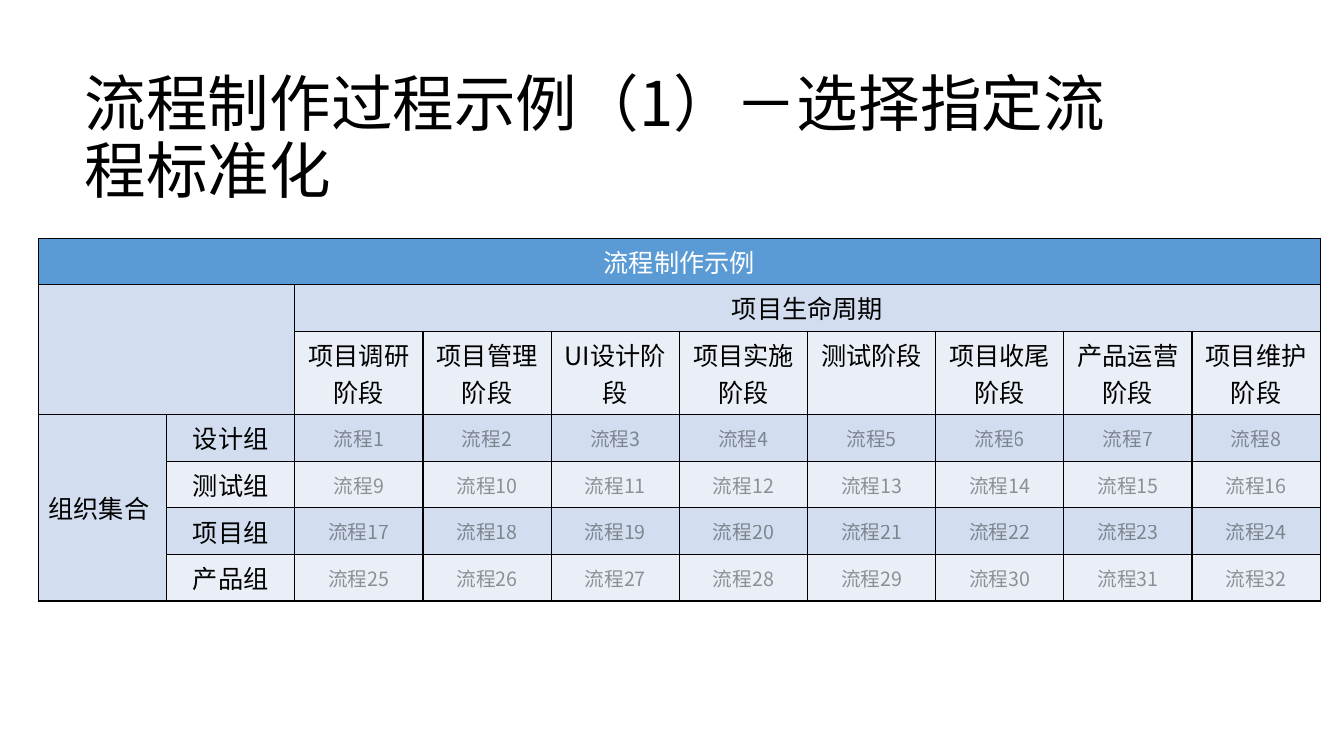
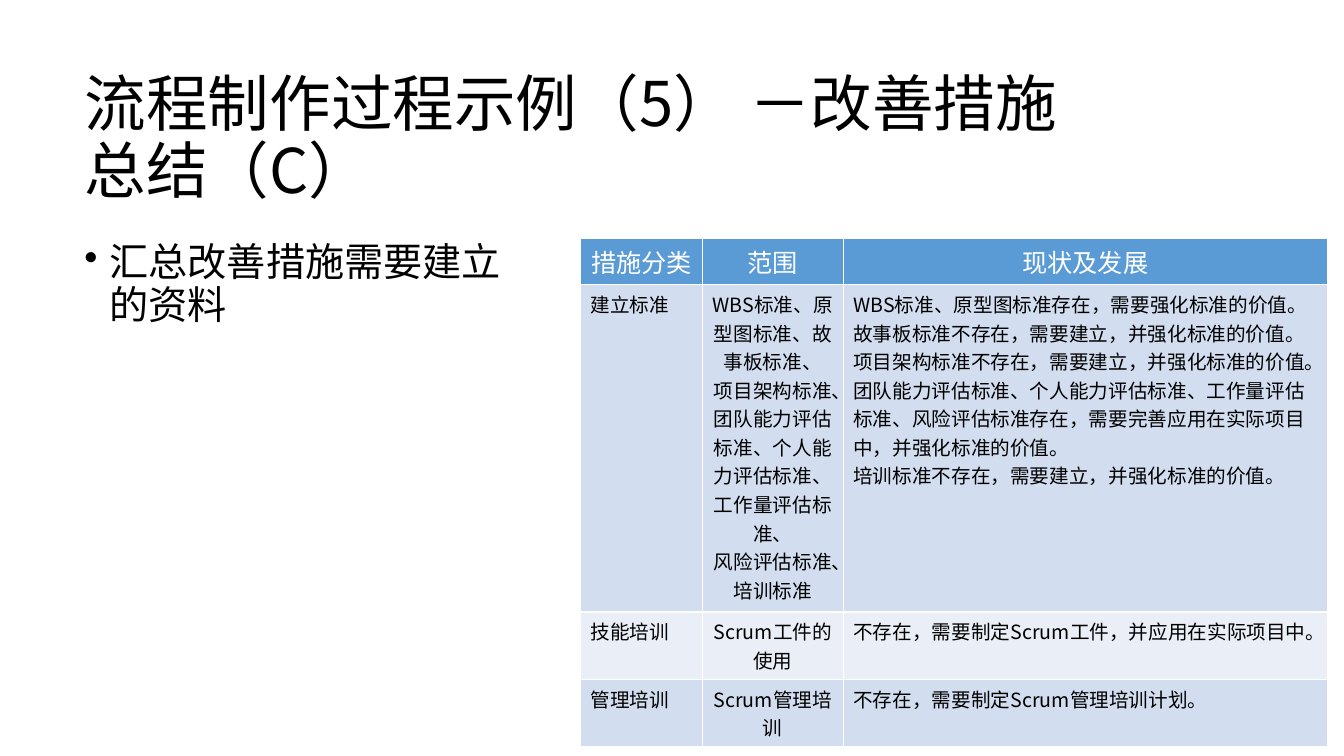
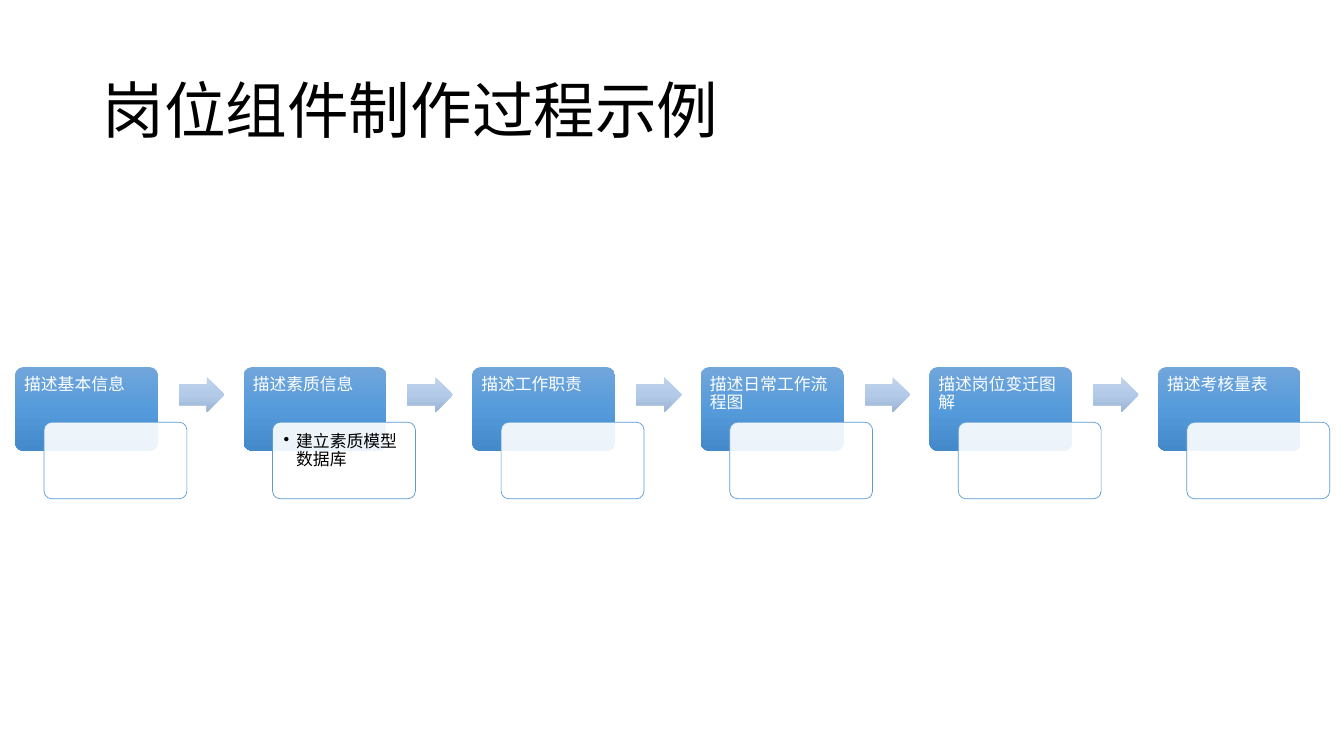
from copy import deepcopy

from pptx import Presentation
from pptx.dml.color import RGBColor
from pptx.enum import shapes as es, text as et
from pptx.oxml import parse_xml
from pptx.oxml.ns import nsdecls, qn
from pptx.oxml.xmlchemy import OxmlElement
from pptx.util import Cm, Pt

FACE = "Noto Sans CJK SC"
BLACK = RGBColor(0x00, 0x00, 0x00)
WHITE = RGBColor(0xFF, 0xFF, 0xFF)
BLUE = RGBColor(0x5B, 0x9B, 0xD5)
BAND = RGBColor(0xD2, 0xDE, 0xEF)
PALE = RGBColor(0xEA, 0xEF, 0xF7)
STEP = [RGBColor(0x71, 0xA6, 0xDB), RGBColor(0x55, 0x9B, 0xDB), RGBColor(0x44, 0x8A, 0xCA)]
ARROW = [RGBColor(0xC0, 0xD2, 0xEB), RGBColor(0xB3, 0xCB, 0xE9), RGBColor(0x9B, 0xB4, 0xD3)]

LEFT, MID = et.PP_ALIGN.LEFT, et.PP_ALIGN.CENTER
TOP, CENTER = et.MSO_ANCHOR.TOP, et.MSO_ANCHOR.MIDDLE
ROUND, RIGHT = es.MSO_SHAPE.ROUNDED_RECTANGLE, es.MSO_SHAPE.RIGHT_ARROW


def put(obj, **vals):
    for key, val in vals.items():
        setattr(obj, key, val)


def fade(node, pct):
    """Make the solid colour inside node pct per cent opaque."""
    alpha = OxmlElement("a:alpha")
    alpha.set("val", str(pct * 1000))
    node.find(".//" + qn("a:srgbClr")).append(alpha)


class Deck:
    """The shared style and the slide being built."""

    def __init__(self):
        self.prs = Presentation()
        put(self.prs, slide_width=Cm(33.87), slide_height=Cm(19.05))

    def page(self, title, x, y, w, h):
        self.slide = self.prs.slides.add_slide(self.prs.slide_layouts[5])
        box = self.slide.shapes.title
        put(box, left=Cm(x), top=Cm(y), width=Cm(w), height=Cm(h))
        put(box.text_frame, auto_size=et.MSO_AUTO_SIZE.NONE, vertical_anchor=CENTER)
        self.say(box.text_frame, title, size=44, gap=0.9)

    def say(self, frame, words, size=18, color=BLACK, align=LEFT, gap=None,
            alpha=None, hang=None):
        """Fill frame, one paragraph a line; hang is a bullet's indent in cm."""
        for i, line in enumerate(words.split("\n")):
            par = frame.paragraphs[0] if i == 0 else frame.add_paragraph()
            if hang:
                props = par._p.get_or_add_pPr()
                props.set("marL", str(Cm(hang)))
                props.set("indent", str(-Cm(hang)))
                dot = OxmlElement("a:buChar")
                dot.set("char", "•")
                props.append(dot)
            put(par, alignment=align, line_spacing=gap)
            run = par.add_run()
            run.text = line
            put(run.font, name=FACE, size=Pt(size), bold=False)
            run.font.color.rgb = color
            props = run._r.get_or_add_rPr()
            props.set("lang", "zh-CN")
            east = OxmlElement("a:ea")
            east.set("typeface", FACE)
            props.append(east)
            if alpha:
                fade(props, alpha)

    def note(self, words, x, y, w, h, **fmt):
        frame = self.slide.shapes.add_textbox(Cm(x), Cm(y), Cm(w), Cm(h)).text_frame
        frame.word_wrap = True
        self.say(frame, words, **fmt)

    def shape(self, kind, x, y, w, h, adj):
        item = self.slide.shapes.add_shape(kind, Cm(x), Cm(y), Cm(w), Cm(h))
        item.shadow.inherit = False
        item.line.fill.background()
        for i, val in enumerate(adj):
            item.adjustments[i] = val
        return item

    def blend(self, item, colors):
        """Give item a three-colour gradient from top to bottom."""
        item.fill.gradient()
        item.fill.gradient_angle = 270
        stops = item._element.spPr.find(".//" + qn("a:gsLst"))
        stops.insert(1, deepcopy(stops[0]))
        for i, stop in enumerate(item.fill.gradient_stops):
            stop.color.rgb = colors[i]
            stop.position = i / 2

    def label(self, item, words, pad, **fmt):
        frame = item.text_frame
        put(frame, word_wrap=True, vertical_anchor=TOP, margin_left=Cm(pad),
            margin_top=Cm(pad), margin_right=Cm(pad), margin_bottom=Cm(0.1))
        self.say(frame, words, size=12, gap=0.9, **fmt)

    def table(self, x, y, cols, rows, cells, look, edge, spans=()):
        """look(row, col) gives a cell's fill, anchor and text format."""
        grid = self.slide.shapes.add_table(
            len(rows), len(cols), Cm(x), Cm(y), Cm(sum(cols)), Cm(sum(rows))).table
        for col, width in zip(grid.columns, cols):
            col.width = Cm(width)
        for row, height in zip(grid.rows, rows):
            row.height = Cm(height)
        for r, line in enumerate(cells):
            for c, words in enumerate(line):
                cell = grid.cell(r, c)
                fill, anchor, fmt = look(r, c)
                cell.fill.solid()
                cell.fill.fore_color.rgb = fill
                cell.vertical_anchor = anchor
                self.border(cell, edge)
                if words:
                    self.say(cell.text_frame, words, **fmt)
        for r, c, down, over in spans:
            grid.cell(r, c).merge(grid.cell(r + down - 1, c + over - 1))

    def border(self, cell, color):
        props = cell._tc.get_or_add_tcPr()
        for i, side in enumerate("LRTB"):
            props.insert(i, parse_xml(
                f'<a:ln{side} {nsdecls("a")} w="12700"><a:solidFill>'
                f'<a:srgbClr val="{color}"/></a:solidFill></a:ln{side}>'))


def flows(deck):
    deck.page("流程制作过程示例（1）－选择指定流程标准化", 1.88, 1.7, 27.3, 3.66)
    stages = ["项目调研阶段", "项目管理阶段", "UI设计阶段", "项目实施阶段",
              "测试阶段", "项目收尾阶段", "产品运营阶段", "项目维护阶段"]
    teams = ["设计组", "测试组", "项目组", "产品组"]
    count = len(stages)
    cells = [["流程制作示例"] + [""] * (count + 1),
             ["", "", "项目生命周期"] + [""] * (count - 1),
             ["", ""] + stages]
    for i, team in enumerate(teams):
        first = "" if i else "组织集合"
        cells.append([first, team] + [f"流程{i * count + j + 1}" for j in range(count)])

    def look(r, c):
        if r == 0:
            return BLUE, TOP, dict(color=WHITE, align=MID)
        fill = BAND if r % 2 or c == 0 else PALE
        if r > 2 and c > 1:
            return fill, CENTER, dict(size=14, alpha=40, align=MID)
        if r > 2 and c == 0:
            return fill, CENTER, {}
        return fill, TOP, dict(align=MID)

    spans = [(0, 0, 1, 10), (1, 0, 2, 2), (1, 2, 1, 8), (3, 0, 4, 1)]
    deck.table(0.97, 6, [3.23] * 10, [1.17, 1.17, 2.1] + [1.17] * 4,
               cells, look, BLACK, spans)


def actions(deck):
    deck.page("流程制作过程示例（5） －改善措施总结（C）", 1.88, 1.7, 26.54, 3.66)
    deck.note("汇总改善措施需要建立的资料", 1.88, 6, 11.66, 10.77,
              size=28, gap=0.9, hang=0.63)
    scope = """WBS标准、原型图标准、故事板标准、
项目架构标准、
团队能力评估标准、个人能力评估标准、工作量评估标准、
风险评估标准、
培训标准"""
    state = """WBS标准、原型图标准存在，需要强化标准的价值。
故事板标准不存在，需要建立，并强化标准的价值。
项目架构标准不存在，需要建立，并强化标准的价值。
团队能力评估标准、个人能力评估标准、工作量评估标准、风险评估标准存在，需要完善应用在实际项目中，并强化标准的价值。
培训标准不存在，需要建立，并强化标准的价值。"""
    cells = [["措施分类", "范围", "现状及发展"],
             ["建立标准", scope, state],
             ["技能培训", "Scrum工件的使用", "不存在，需要制定Scrum工件，并应用在实际项目中。"],
             ["管理培训", "Scrum管理培训", "不存在，需要制定Scrum管理培训计划。"]]

    def look(r, c):
        if r == 0:
            return BLUE, TOP, dict(color=WHITE, align=MID)
        return BAND if r % 2 else PALE, TOP, dict(size=14, align=MID if c == 1 else LEFT)

    deck.table(14.63, 6, [3.07, 3.55, 12.2], [1.17, 8.25, 1.7, 1.7], cells, look, WHITE)


def posts(deck):
    deck.page("岗位组件制作过程示例", 2.33, 1.01, 29.21, 3.68)
    steps = ["描述基本信息", "描述素质信息", "描述工作职责",
             "描述日常工作流程图", "描述岗位变迁图解", "描述考核量表"]
    parts = {1: "建立素质模型数据库"}
    for i, step in enumerate(steps):
        x = 0.38 + i * 5.76
        card = deck.shape(ROUND, x, 9.25, 3.6, 2.11, [0.1])
        deck.blend(card, STEP)
        deck.label(card, step, 0.17, color=WHITE)
        panel = deck.shape(ROUND, x + 0.73, 10.64, 3.6, 1.93, [0.1])
        panel.fill.solid()
        panel.fill.fore_color.rgb = WHITE
        fade(panel._element.spPr, 90)
        panel.line.color.rgb = BLUE
        panel.line.width = Pt(0.5)
        if i in parts:
            deck.label(panel, parts[i], 0.22, hang=0.32)
        if i < len(steps) - 1:
            arrow = deck.shape(RIGHT, x + 4.13, 9.5, 1.15, 0.89, [0.6, 0.5])
            deck.blend(arrow, ARROW)


def main():
    deck = Deck()
    for build in (flows, actions, posts):
        build(deck)
    deck.prs.save("out.pptx")


if __name__ == "__main__":
    main()
